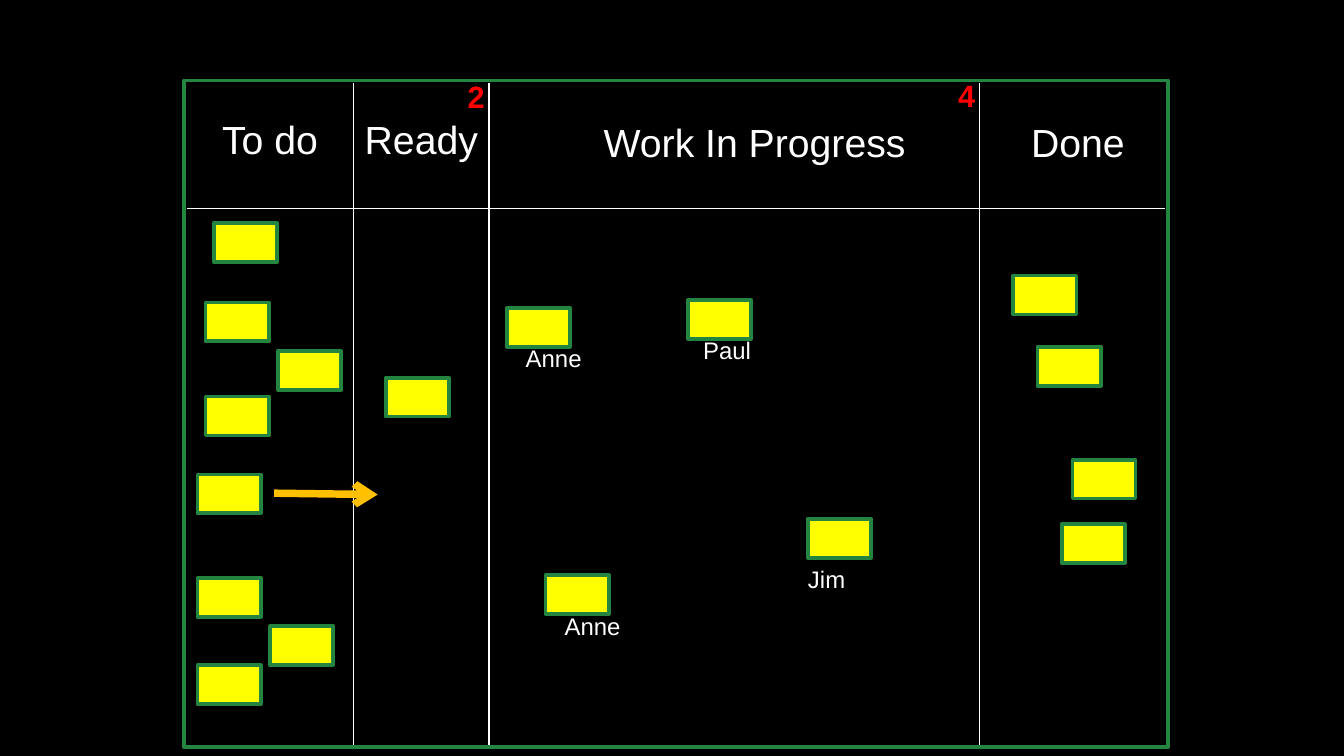
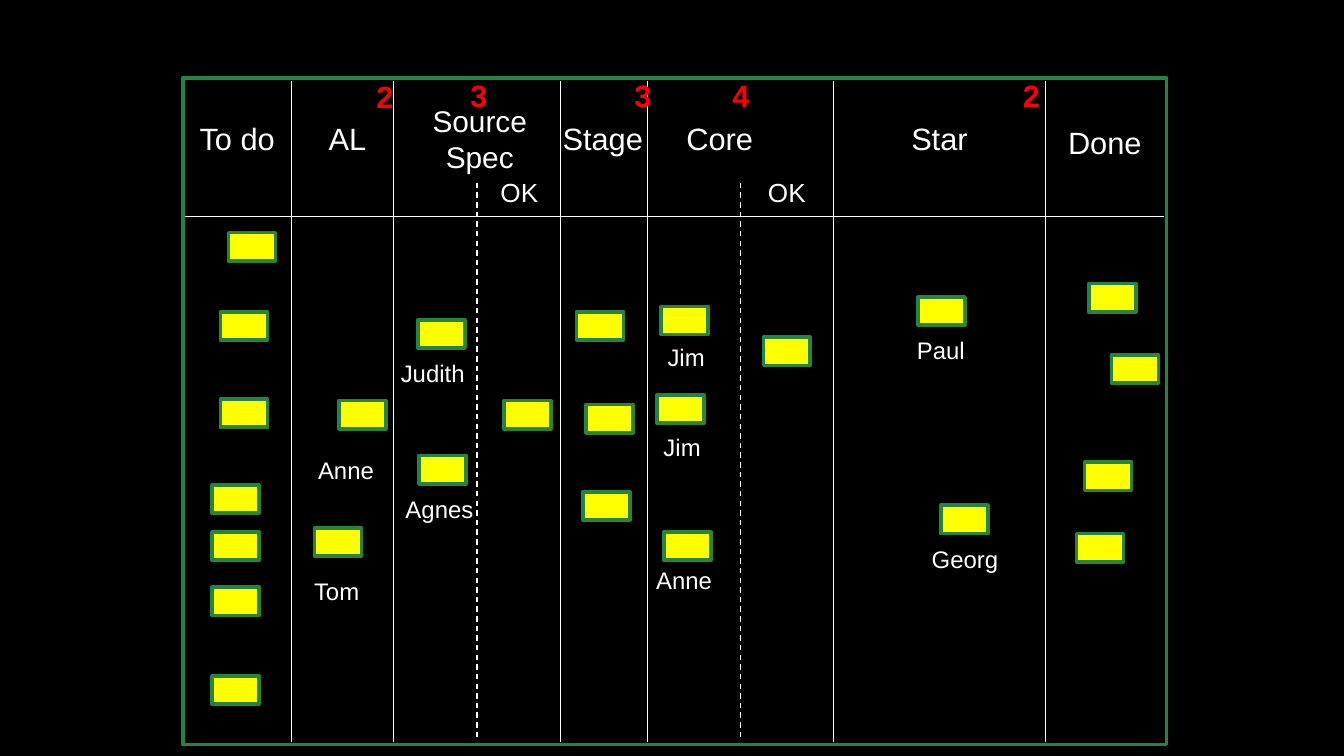
"""Build two kanban boards, one simple and one with split lanes."""
import pptx
import pptx.util
import pptx.dml.color
import pptx.enum.dml
import pptx.enum.shapes
import pptx.enum.text
import pptx.oxml.ns
import lxml.etree

deck = pptx.Presentation()
deck.slide_width = pptx.util.Inches(10)
deck.slide_height = deck.slide_width * 9 // 16
unit = deck.slide_width / 100
edge = 0.2
wide, high = 73.2, 49.6


def paint(part, code):
    """Give a fill a hex colour."""
    part.solid()
    part.fore_color.rgb = pptx.dml.color.RGBColor.from_string(code)


def span(*cells):
    """Turn grid cells into slide lengths."""
    return [round(cell * unit) for cell in cells]


paint(deck.slide_master.background.fill, "000000")

boards = [
    {
        "left": 13.7, "top": 6, "head": 15.5, "card": (4.7, 2.9),
        "lanes": [26.3, 36.4, 72.9],
        "splits": [],
        "cards": [
            (15.9, 16.6), (15.3, 22.5), (20.7, 26.1), (15.3, 29.5),
            (14.7, 35.3), (14.7, 43), (20.1, 46.6), (14.7, 49.5),
            (28.7, 28.1),
            (37.7, 22.9), (51.2, 22.3), (60.1, 38.6), (40.6, 42.8),
            (75.4, 20.5), (77.2, 25.8), (79.8, 34.2), (79, 39),
        ],
        "heads": [
            ("To do", 14.1, 8.3, 12, 4, 21),
            ("Ready", 26.1, 8.3, 10.5, 4, 21),
            ("Work In Progress", 41.9, 8.3, 28.5, 4.5, 21),
            ("Done", 75, 8.3, 10.4, 4.5, 21),
        ],
        "limits": [("2", 34.1, 5.2), ("4", 70.6, 5.1)],
        "names": [
            ("Anne", 37.7, 25.2, 7), ("Paul", 50.6, 24.6, 7),
            ("Anne", 40.6, 45.1, 7), ("Jim", 58.9, 41.6, 5.2),
        ],
        "moves": [(20.4, 36.7, 28.1, 36.8)],
    },
    {
        "left": 13.6, "top": 5.8, "head": 16.1, "card": (3.5, 2.1),
        "lanes": [21.7, 29.3, 41.7, 48.2, 62, 77.8],
        "splits": [35.5, 55.1],
        "cards": [
            (17, 17.3), (16.4, 23.2), (16.4, 29.7), (15.8, 36.1),
            (15.8, 39.6), (15.8, 43.7), (15.8, 50.3),
            (25.2, 29.8), (23.4, 39.3),
            (31.1, 23.8), (31.2, 33.9), (37.5, 29.8),
            (42.9, 23.2), (43.6, 30.1), (43.4, 36.6),
            (49.2, 22.8), (48.9, 29.4), (49.4, 39.6), (56.8, 25.1),
            (68.3, 22.1), (70, 37.6),
            (81, 21.1), (82.7, 26.4), (80.7, 34.4), (80.1, 39.7),
        ],
        "heads": [
            ("To do", 13.1, 8.3, 9.1, 4, 16.5),
            ("AL", 20.6, 8.3, 10.5, 4, 16.5),
            ("Source Spec", 30.7, 8.3, 10, 4, 16),
            ("Stage", 41.1, 8.3, 7.5, 4, 16.5),
            ("Core", 49.8, 8.3, 7.5, 4, 16.5),
            ("Star", 66.5, 8.3, 6.8, 4, 16.5),
            ("Done", 77, 8.3, 10.4, 4.5, 16.5),
            ("OK", 35.8, 12.3, 5.7, 4, 14),
            ("OK", 55.7, 12.3, 5.7, 4, 14),
        ],
        "limits": [
            ("2", 27.3, 5.2), ("3", 34.3, 5.1), ("3", 46.5, 5.1),
            ("4", 53.8, 5.1), ("2", 75.4, 5.1),
        ],
        "names": [
            ("Anne", 22.6, 33.5, 6.3), ("Tom", 22.3, 42.5, 5.5),
            ("Judith", 28.7, 26.3, 7), ("Agnes", 28.7, 36.4, 8),
            ("Jim", 48.3, 25.1, 5.5), ("Jim", 48, 31.8, 5.5),
            ("Anne", 47.4, 41.7, 7), ("Paul", 66.5, 24.6, 7),
            ("Georg", 68.3, 40.1, 7),
        ],
        "moves": [],
    },
]

for board in boards:
    slide = deck.slides.add_slide(deck.slide_layouts[6])
    left, top, head = board["left"], board["top"], board["head"]
    base = top + high - edge

    boxes = [(left, top, wide, high, "000000")]
    boxes += [(x, y, *board["card"], "FFFF00") for x, y in board["cards"]]
    for *place, tint in boxes:
        box = slide.shapes.add_shape(
            pptx.enum.shapes.MSO_SHAPE.RECTANGLE, *span(*place))
        box.shadow.inherit = False
        paint(box.fill, tint)
        paint(box.line.fill, "238540")
        box.line.width = pptx.util.Pt(2)

    rules = [(x, top + edge, x, base, "lane") for x in board["lanes"]]
    rules += [(x, 13.6, x, base - 0.1, "split") for x in board["splits"]]
    rules += [(left + edge, head, left + wide - edge, head, "head")]
    rules += [(*move, "move") for move in board["moves"]]
    for *ends, kind in rules:
        rule = slide.shapes.add_connector(
            pptx.enum.shapes.MSO_CONNECTOR.STRAIGHT, *span(*ends))
        paint(rule.line.fill, "FFC000" if kind == "move" else "FFFFFF")
        rule.line.width = pptx.util.Pt(4 if kind == "move" else 0.75)
        if kind == "split":
            rule.line.dash_style = pptx.enum.dml.MSO_LINE.DASH
        if kind == "move":
            lxml.etree.SubElement(
                rule.line._get_or_add_ln(),
                pptx.oxml.ns.qn("a:tailEnd"), type="arrow")
        lxml.etree.SubElement(
            rule._element.spPr, pptx.oxml.ns.qn("a:effectLst"))

    notes = [(*item, "FFFFFF", False) for item in board["heads"]]
    notes += [(*item, 2.4, 3.9, 16.5, "FF0000", True)
              for item in board["limits"]]
    notes += [(*item, 2.9, 12.8, "FFFFFF", False) for item in board["names"]]
    for words, x, y, w, h, size, tint, bold in notes:
        note = slide.shapes.add_textbox(*span(x, y, w, h))
        frame = note.text_frame
        frame.text = words
        frame.word_wrap = True
        frame.vertical_anchor = pptx.enum.text.MSO_ANCHOR.MIDDLE
        frame.margin_left = frame.margin_right = pptx.util.Inches(0.07)
        frame.margin_top = frame.margin_bottom = pptx.util.Inches(0.04)
        line = frame.paragraphs[0]
        line.alignment = pptx.enum.text.PP_ALIGN.CENTER
        font = line.runs[0].font
        font.name = "Arial"
        font.size = pptx.util.Pt(size)
        font.bold = bold
        paint(font.fill, tint)

deck.save("out.pptx")
